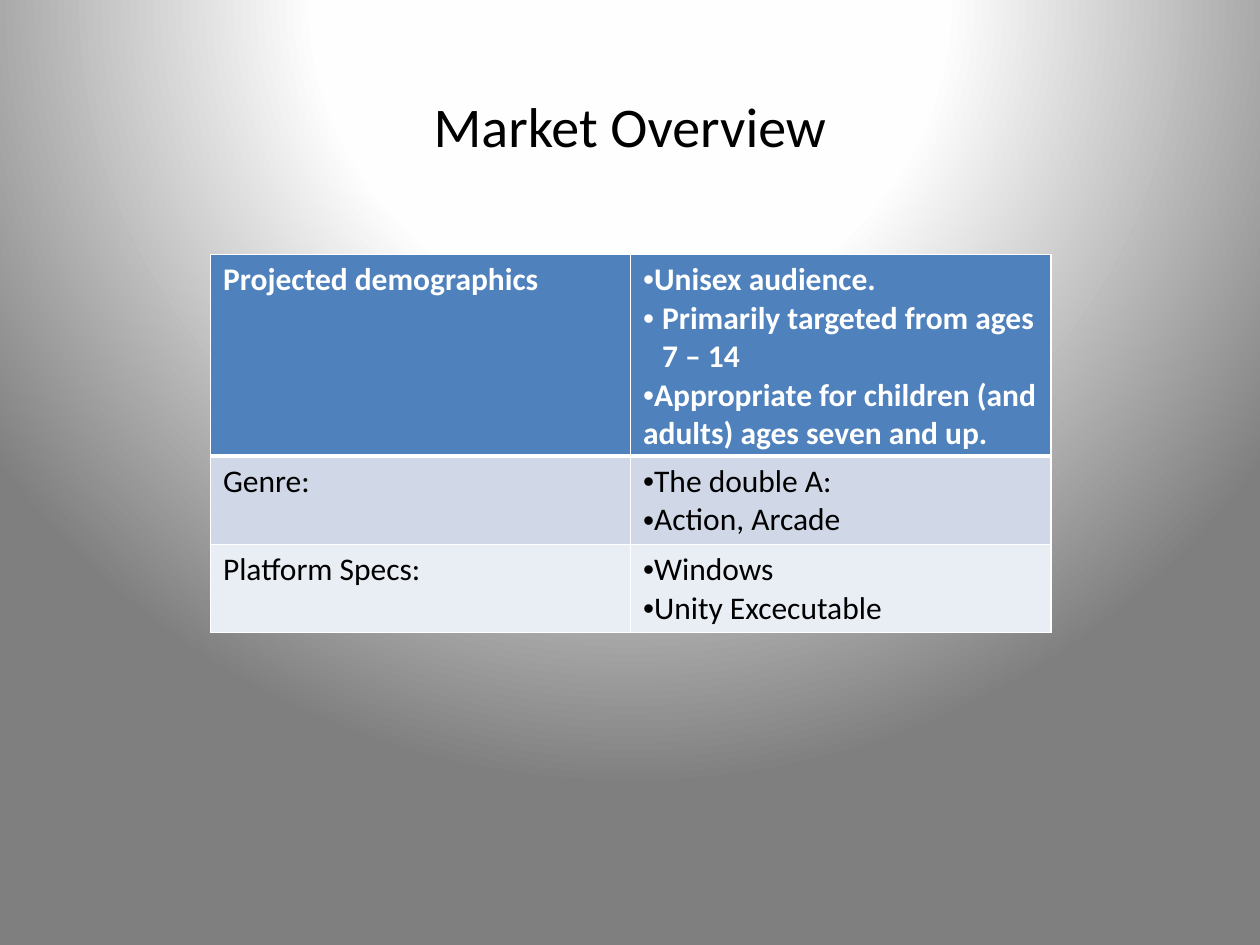
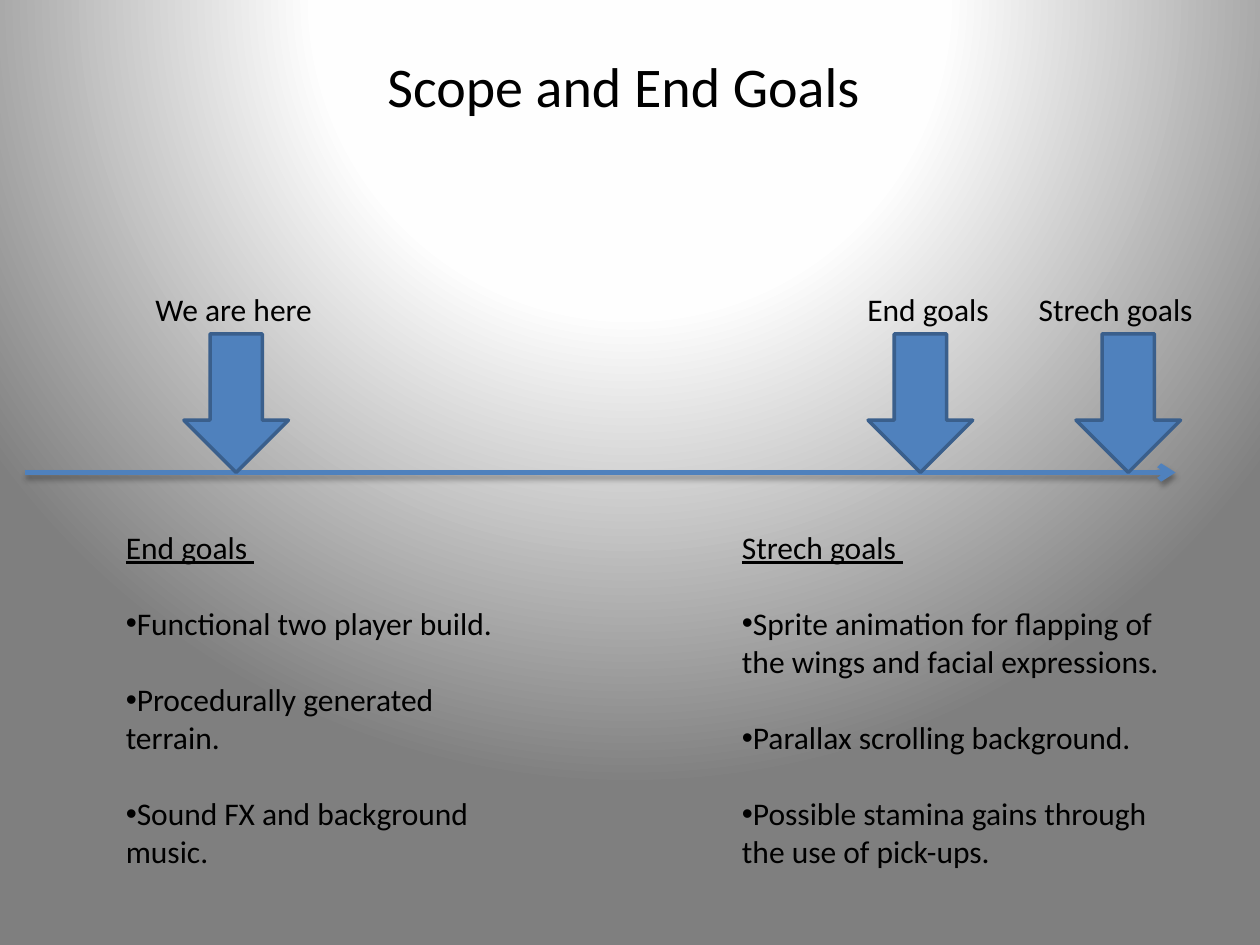
import dataclasses

import lxml.etree
import pptx
import pptx.dml.color
import pptx.enum.dml
import pptx.enum.shapes
import pptx.enum.text
import pptx.oxml
import pptx.oxml.ns
import pptx.util

COLOURS = {
    "ink": "000000",
    "paper": "FFFFFF",
    "glow": "FEFEFE",
    "edge": "7F7F7F",
    "accent": "4F81BD",
    "outline": "3A5F8C",
    "band_dark": "D0D8E8",
    "band_light": "E9EDF4",
}
NAMESPACE = 'xmlns:a="http://schemas.openxmlformats.org/drawingml/2006/main"'
COLUMNS, ROWS = 100, 75
SLIDE_WIDTH, SLIDE_HEIGHT = pptx.util.Inches(10), pptx.util.Inches(7.5)

BODY = {"name": "Calibri", "size": pptx.util.Pt(18), "bold": False}
TITLE = {**BODY, "size": pptx.util.Pt(32)}
HEADER = {**BODY, "bold": True}
HEADING = {**BODY, "underline": True}
CENTRED = {"alignment": pptx.enum.text.PP_ALIGN.CENTER}
SPACED = {"space_before": pptx.util.Pt(22)}


@dataclasses.dataclass
class Box:
    left: float
    top: float
    width: float
    height: float

    def inner(self, left, top, width, height):
        return Box(self.left + left, self.top + top, width, height)

    def lengths(self):
        column, row = SLIDE_WIDTH / COLUMNS, SLIDE_HEIGHT / ROWS
        return [
            round(share * unit)
            for share, unit in zip(
                (self.left, self.top, self.width, self.height),
                (column, row, column, row),
            )
        ]


def rgb(colour):
    return pptx.dml.color.RGBColor.from_string(COLOURS[colour])


def element(xml):
    return pptx.oxml.parse_xml(xml.replace(">", f" {NAMESPACE}>", 1))


def apply_format(target, values):
    for attribute, value in values.items():
        setattr(target, attribute, value)


def paint(fill, colour):
    fill.solid()
    fill.fore_color.rgb = rgb(colour)


def write(paragraph, words, font, colour="ink", layout=None, bullet=False, hang=0):
    run = paragraph.add_run()
    run.text = words
    apply_format(run.font, font)
    run.font.color.rgb = rgb(colour)
    if bullet:
        properties = paragraph._p.get_or_add_pPr()
        indent = pptx.util.Inches(hang)
        properties.set("marL", str(indent))
        properties.set("indent", str(-indent))
        properties.append(element('<a:buFont typeface="Arial"></a:buFont>'))
        properties.append(element('<a:buChar char="•"></a:buChar>'))
    apply_format(paragraph, layout or {})


def paragraphs(frame, count):
    return [frame.paragraphs[0]] + [frame.add_paragraph() for _ in range(count - 1)]


def add_frame(slide, box):
    frame = slide.shapes.add_textbox(*box.lengths()).text_frame
    frame.word_wrap = True
    return frame


def new_slide(deck):
    slide = deck.slides.add_slide(deck.slide_layouts[6])
    slide.background.fill.gradient()
    gradient = slide.background._cSld.find(".//" + pptx.oxml.ns.qn("a:gradFill"))
    for child in list(gradient):
        gradient.remove(child)
    stops = "".join(
        f'<a:gs pos="{share * 1000}"><a:srgbClr val="{COLOURS[colour]}"/></a:gs>'
        for share, colour in ((0, "paper"), (40, "glow"), (100, "edge"))
    )
    gradient.append(element(f"<a:gsLst>{stops}</a:gsLst>"))
    gradient.append(element(
        '<a:path path="circle">'
        '<a:fillToRect l="50000" t="-80000" r="50000" b="180000"/></a:path>'
    ))
    return slide


def add_title(slide, words, box):
    write(add_frame(slide, box).paragraphs[0], words, TITLE, layout=CENTRED)


def border_cell(cell, widths):
    properties = cell._tc.get_or_add_tcPr()
    for side, width in widths.items():
        properties.append(element(
            f'<a:ln{side} w="{pptx.util.Pt(width)}"><a:solidFill>'
            f'<a:srgbClr val="{COLOURS["paper"]}"/></a:solidFill></a:ln{side}>'
        ))


def add_market_table(slide, box, row_heights):
    topics = (
        ("Projected demographics", (
            ("Unisex audience.", 0),
            ("Primarily targeted from ages 7 – 14", 0.15),
            ("Appropriate for children (and adults) ages seven and up.", 0),
        )),
        ("Genre:", (("The double A:", 0), ("Action, Arcade", 0))),
        ("Platform Specs:", (("Windows", 0), ("Unity Excecutable", 0))),
    )
    looks = (
        (HEADER, "paper", "accent", {"L": 1, "R": 1, "T": 1, "B": 3}),
        (BODY, "ink", "band_dark", {"L": 1, "R": 1, "T": 3, "B": 1}),
        (BODY, "ink", "band_light", {"L": 1, "R": 1, "T": 1, "B": 1}),
    )
    market = slide.shapes.add_table(len(topics), 2, *box.lengths()).table
    for row, height in zip(market.rows, row_heights):
        row.height = round(SLIDE_HEIGHT / ROWS * height)
    for row, (topic, facts), look in zip(market.rows, topics, looks):
        font, ink, band, widths = look
        topic_cell, facts_cell = row.cells
        for cell in (topic_cell, facts_cell):
            border_cell(cell, widths)
            paint(cell.fill, band)
        write(topic_cell.text_frame.paragraphs[0], topic, font, ink)
        lines = paragraphs(facts_cell.text_frame, len(facts))
        for line, (fact, hang) in zip(lines, facts):
            write(line, fact, font, ink, bullet=True, hang=hang)


def add_milestone(slide, box, words, label_shift):
    arrow_width, label_width, label_height = 8.3, 18.9, 4
    arrow = slide.shapes.add_shape(
        pptx.enum.shapes.MSO_SHAPE.DOWN_ARROW,
        *box.inner(-arrow_width / 2, label_height, arrow_width,
                   box.height - label_height).lengths(),
    )
    arrow.shadow.inherit = False
    paint(arrow.fill, "accent")
    arrow.line.color.rgb = rgb("outline")
    arrow.line.width = pptx.util.Pt(2)
    label = box.inner(label_shift - label_width / 2, 0, label_width, label_height)
    write(add_frame(slide, label).paragraphs[0], words, BODY, layout=CENTRED)


def add_timeline(slide, box):
    left, top, width, height = box.lengths()
    axis = slide.shapes.add_connector(
        pptx.enum.shapes.MSO_CONNECTOR.STRAIGHT,
        left, top + height, left + width, top + height,
    )
    axis.line.color.rgb = rgb("accent")
    axis.line.width = pptx.util.Pt(3)
    axis.line._get_or_add_ln().append(element('<a:tailEnd type="arrow"></a:tailEnd>'))
    axis._element.spPr.append(element(
        f'<a:effectLst><a:outerShdw blurRad="{pptx.util.Pt(3.1)}" '
        f'dist="{pptx.util.Pt(1.8)}" dir="5400000" rotWithShape="0">'
        f'<a:srgbClr val="{COLOURS["ink"]}"><a:alpha val="35000"/></a:srgbClr>'
        '</a:outerShdw></a:effectLst>'
    ))
    milestones = (
        ("We are here", 16.75, -0.2),
        ("End goals", 71.05, 0.6),
        ("Strech goals", 87.55, -1),
    )
    for words, centre, label_shift in milestones:
        add_milestone(slide, box.inner(centre, 0, 0, box.height), words, label_shift)


def add_goals(slide, box, heading, goals):
    heading_line, *goal_lines = paragraphs(add_frame(slide, box), len(goals) + 1)
    write(heading_line, heading, HEADING)
    for line, goal in zip(goal_lines, goals):
        write(line, goal, BODY, layout=SPACED, bullet=True)


def build_market_slide(deck):
    slide = new_slide(deck)
    add_title(slide, "Market Overview", Box(5.1, 6.8, 89.8, 6.4))
    add_market_table(slide, Box(16.7, 20.2, 66.7, 30), (16, 7, 7))


def build_scope_slide(deck):
    slide = new_slide(deck)
    add_title(slide, "Scope and End Goals ", Box(5.1, 3.6, 89.8, 6.4))
    add_timeline(slide, Box(2, 22.5, 91.3, 15))
    add_goals(slide, Box(9, 41.4, 31.5, 30), "End goals ", (
        "Functional two player build.",
        "Procedurally generated terrain.",
        "Sound FX and background music.",
    ))
    add_goals(slide, Box(57.9, 41.4, 35.8, 30), "Strech goals ", (
        "Sprite animation for flapping of the wings and facial expressions.",
        "Parallax scrolling background.",
        "Possible stamina gains through the use of pick-ups.",
    ))


def main():
    deck = pptx.Presentation()
    apply_format(deck, {"slide_width": SLIDE_WIDTH, "slide_height": SLIDE_HEIGHT})
    build_market_slide(deck)
    build_scope_slide(deck)
    deck.save("out.pptx")


if __name__ == "__main__":
    main()
